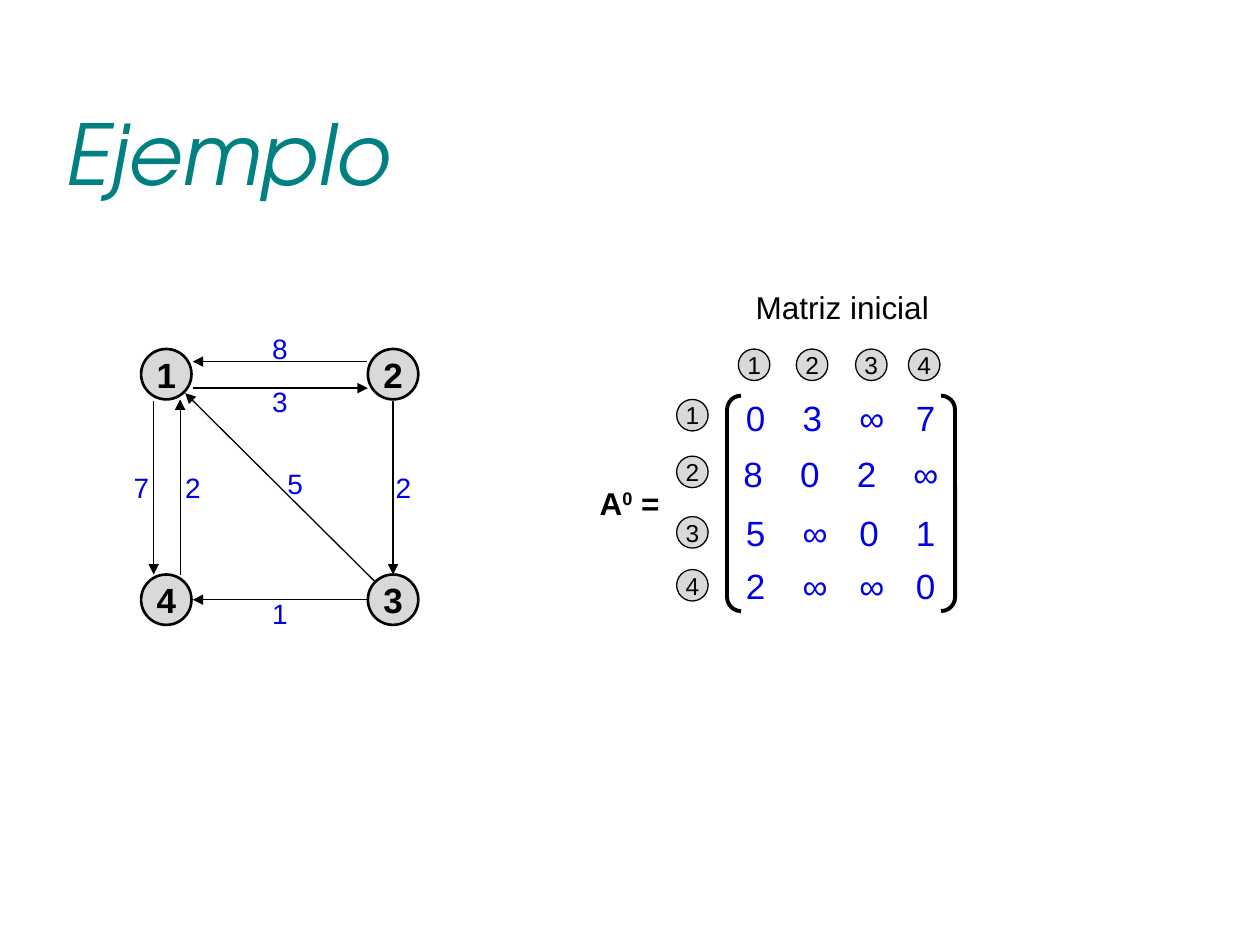
from dataclasses import dataclass

from lxml.etree import SubElement
from pptx import Presentation
from pptx.dml.color import RGBColor
from pptx.enum.shapes import MSO_CONNECTOR, MSO_SHAPE
from pptx.enum.text import MSO_ANCHOR, MSO_AUTO_SIZE, PP_ALIGN
from pptx.oxml.ns import qn
from pptx.util import Inches, Pt


@dataclass(frozen=True)
class Theme:
    """Colours, fonts and type sizes of the slide."""
    ink: RGBColor = RGBColor(0, 0, 0)
    value: RGBColor = RGBColor(0, 0, 0xE6)
    node: RGBColor = RGBColor(0xD9, 0xD9, 0xD9)
    heading: RGBColor = RGBColor(0, 0x80, 0x80)
    font: str = "Arial"
    title_font: str = "TeX Gyre Adventor"
    title: int = 48
    large: int = 20
    label: int = 18
    weight: int = 16
    index: int = 14


def write(tf, *parts, size, color, font, bold=False, italic=False,
          align=PP_ALIGN.LEFT, anchor=MSO_ANCHOR.MIDDLE, wrap=False,
          inset=0, spacing=None):
    """Fill a text frame; a part is a string or a (string, baseline) pair."""
    tf.word_wrap = wrap
    tf.auto_size = MSO_AUTO_SIZE.NONE
    tf.vertical_anchor = anchor
    if inset is not None:
        tf.margin_left = tf.margin_right = Inches(inset)
        tf.margin_top = tf.margin_bottom = Inches(inset)
    p = tf.paragraphs[0]
    p.alignment, p.line_spacing = align, spacing
    for part in parts:
        text, baseline = (part, 0) if isinstance(part, str) else part
        r = p.add_run()
        r.text = text
        r.font.name, r.font.size = font, Pt(size)
        r.font.bold, r.font.italic = bold, italic
        r.font.color.rgb = color
        if baseline:
            r.font._element.set("baseline", str(baseline * 1000))


class Painter:
    """Draws elements on the current slide in one style."""

    def __init__(self, slide, theme):
        """Keep the slide and its style."""
        self.s, self.t = slide, theme
        self.shapes = slide.shapes

    def group(self):
        """Start a new group that takes the elements that follow."""
        self.shapes = self.s.shapes.add_group_shape().shapes

    def ungroup(self):
        """Put the elements that follow on the slide itself."""
        self.shapes = self.s.shapes

    def title(self, text, x, y, w, h):
        """Place and fill the title placeholder."""
        sp = self.s.shapes.title
        sp.left, sp.top, sp.width, sp.height = map(Inches, (x, y, w, h))
        write(sp.text_frame, text, size=self.t.title, color=self.t.heading,
              font=self.t.title_font, italic=True, wrap=True, inset=None)

    def text(self, parts, x, y, w, h, **fmt):
        """Add a text box."""
        sp = self.shapes.add_textbox(*map(Inches, (x, y, w, h)))
        write(sp.text_frame, *parts, font=self.t.font, **fmt)

    def outline(self, kind, x, y, w, h, line):
        """Add a preset shape with a plain black outline and no fill."""
        sp = self.shapes.add_shape(kind, *map(Inches, (x, y, w, h)))
        sp.shadow.inherit = False
        sp.fill.background()
        sp.line.color.rgb = self.t.ink
        sp.line.width = Pt(line)
        return sp

    def circle(self, text, x, y, d, size, line, bold=False):
        """Add a numbered grey circle."""
        sp = self.outline(MSO_SHAPE.OVAL, x, y, d, d, line)
        sp.fill.solid()
        sp.fill.fore_color.rgb = self.t.node
        write(sp.text_frame, text, size=size, color=self.t.ink,
              font=self.t.font, bold=bold, align=PP_ALIGN.CENTER)

    def brackets(self, x, y, w, h, radius):
        """Add a pair of rounded brackets."""
        sp = self.outline(MSO_SHAPE.DOUBLE_BRACKET, x, y, w, h, 2.25)
        sp.adjustments[0] = radius

    def arrow(self, start, end):
        """Add a thin arrow from start to end."""
        c = self.shapes.add_connector(MSO_CONNECTOR.STRAIGHT,
                                      *map(Inches, (*start, *end)))
        c.line.color.rgb = self.t.ink
        c.line.width = Pt(0.75)
        SubElement(c.line._get_or_add_ln(), qn("a:tailEnd"), type="triangle")
        SubElement(c._element.spPr, qn("a:effectLst"))


def draw_graph(d):
    """Draw the weighted directed graph."""
    t = d.t
    left, right, top, bottom = 1.12, 2.92, 2.77, 4.56
    d.group()
    for name, x, y in (("3", right, bottom), ("2", right, top),
                       ("1", left, top), ("4", left, bottom)):
        d.circle(name, x, y, 0.4, t.large, 1.5, bold=True)
    # weight, weight position, arrow start, arrow end
    edges = (
        ("1", (2.16, 4.73), (2.92, 4.76), (1.53, 4.76)),
        ("5", (2.28, 3.70), (2.98, 4.62), (1.47, 3.12)),
        ("2", (3.14, 3.73), (3.12, 3.18), (3.12, 4.56)),
        ("8", (2.16, 2.63), (2.91, 2.87), (1.53, 2.87)),
        ("3", (2.16, 3.05), (1.53, 3.08), (2.92, 3.08)),
        ("7", (1.06, 3.73), (1.22, 3.18), (1.22, 4.56)),
        ("2", (1.47, 3.73), (1.43, 4.56), (1.43, 3.17)),
    )
    for weight, at, start, end in edges:
        d.arrow(start, end)
        d.text([weight], *at, 0.12, 0.27, size=t.weight, color=t.value)


def draw_matrix(d):
    """Draw the distance matrix with its row and column numbers."""
    t = d.t
    # left edge, top edge and values of each row
    rows = ((5.92, 3.14, "03∞7"), (5.90, 3.59, "802∞"),
            (5.92, 4.06, "5∞01"), (5.92, 4.48, "2∞∞0"))
    d.group()
    for x, y, values in rows:
        for col, value in enumerate(values):
            width = 0.2 if value == "∞" else 0.16
            d.text([value], x + 0.45 * col, y, width, 0.34,
                   size=t.large, color=t.value)
    d.brackets(5.77, 3.14, 1.81, 1.71, 0.065)
    d.text(["A", ("0", 30), " ="], 4.66, 3.79, 0.69, 0.4, size=t.label,
           color=t.ink, bold=True, anchor=MSO_ANCHOR.TOP, inset=None)
    columns = [(x, 2.77) for x in (5.86, 6.32, 6.79, 7.21)]
    lines = [(5.37, y) for y in (3.17, 3.62, 4.10, 4.52)]
    for places in (columns, lines):
        for number, (x, y) in enumerate(places, 1):
            d.circle(str(number), x, y, 0.25, t.index, 0.75)
    d.ungroup()
    d.text(["Matriz inicial"], 5.81, 2.09, 1.75, 0.5, size=t.label,
           color=t.ink, align=PP_ALIGN.CENTER, anchor=MSO_ANCHOR.TOP,
           wrap=True, inset=None, spacing=1.5)


def main():
    """Build and save the slide."""
    prs = Presentation()
    prs.slide_width, prs.slide_height = Inches(10), Inches(7.5)
    s = prs.slides.add_slide(prs.slide_layouts[5])
    d = Painter(s, Theme())
    d.title("Ejemplo", 0.42, 0.58, 9, 1.25)
    draw_graph(d)
    draw_matrix(d)
    prs.save("out.pptx")


main()
